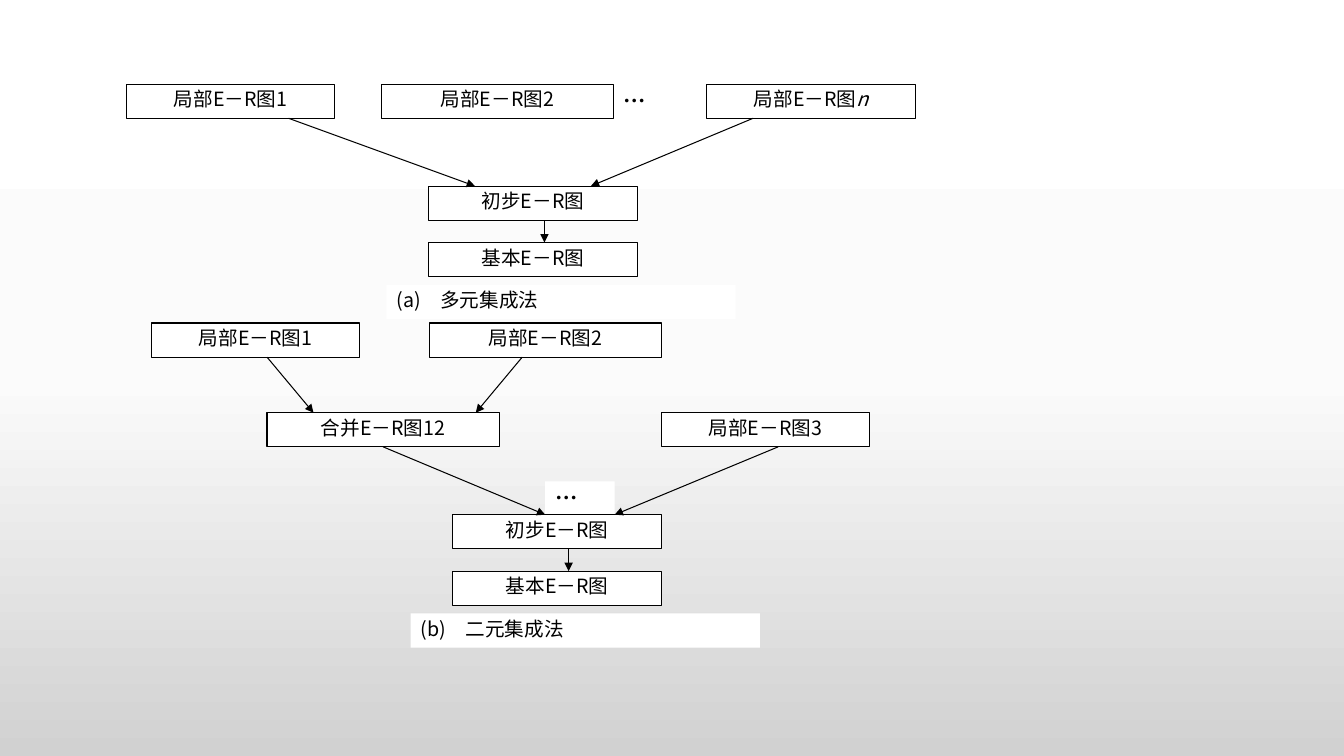
from copy import deepcopy

from lxml import etree
from pptx import Presentation
from pptx import util as u
from pptx.dml.color import RGBColor
from pptx.enum import shapes, text
from pptx.oxml.ns import qn

COLORS = {"ink": "000000", "paper": "FFFFFF", "mist": "FBFBFB", "dusk": "D1D1D1"}
FONT = "Noto Sans CJK SC"
BOX_H = 0.86
NARROW, WIDE, DOTS_W, CAPTION_W = 5.26, 5.85, 1.75, 8.8


def rgb(name):
    """Return the named colour."""
    return RGBColor.from_string(COLORS[name])


def paint_background(slide):
    """Fill the slide with a three-stop vertical gradient."""
    fill = slide.background.fill
    fill.gradient()
    fill.gradient_angle = 270
    stop_list = next(slide.element.iter(qn("a:gsLst")))
    stop_list.append(deepcopy(stop_list[-1]))
    for stop, position, name in zip(fill.gradient_stops, (0, 0.5, 1), ("paper", "mist", "dusk")):
        stop.position = position
        stop.color.rgb = rgb(name)


def write(paragraph, words, size=14, bold=False, italic=False):
    """Add a formatted run to a paragraph."""
    run = paragraph.add_run()
    run.text = words
    font = run.font
    font.name, font.size, font.bold, font.italic = FONT, u.Pt(size), bold, italic
    font.color.rgb = rgb("ink")
    props = run._r.get_or_add_rPr()
    props.set("lang", "zh-CN")
    etree.SubElement(props, qn("a:ea")).set("typeface", FONT)


def add_panel(slide, words, left, top, width, height=BOX_H, outlined=False, variable="", **style):
    """Draw a white rectangle holding one line of text."""
    panel = slide.shapes.add_shape(
        shapes.MSO_SHAPE.RECTANGLE, u.Cm(left), u.Cm(top), u.Cm(width), u.Cm(height))
    panel.shadow.inherit = False
    panel.fill.solid()
    panel.fill.fore_color.rgb = rgb("paper")
    if outlined:
        panel.line.color.rgb = rgb("ink")
        panel.line.width = u.Pt(0.75)
    else:
        panel.line.fill.background()
    frame = panel.text_frame
    frame.word_wrap = True
    frame.vertical_anchor = text.MSO_ANCHOR.TOP
    frame.margin_left = frame.margin_right = u.Cm(0.25)
    frame.margin_top, frame.margin_bottom = u.Cm(0.08), 0
    paragraph = frame.paragraphs[0]
    paragraph.alignment = text.PP_ALIGN.CENTER if outlined else text.PP_ALIGN.JUSTIFY
    write(paragraph, words, **style)
    if variable:
        write(paragraph, variable, italic=True)
    return panel


def add_diagram(slide, words, left, top, width=NARROW, variable=""):
    """Draw one outlined E-R diagram box."""
    return add_panel(slide, words, left, top, width, outlined=True, variable=variable)


def add_dots(slide, left, top, height=BOX_H):
    """Draw the ellipsis for the omitted diagrams."""
    add_panel(slide, "…", left, top, DOTS_W, height, size=16, bold=True)


def add_arrow(slide, x1, y1, x2, y2):
    """Draw a thin arrow to its second point."""
    arrow = slide.shapes.add_connector(
        shapes.MSO_CONNECTOR.STRAIGHT, u.Cm(x1), u.Cm(y1), u.Cm(x2), u.Cm(y2))
    arrow.line.color.rgb = rgb("ink")
    arrow.line.width = u.Pt(0.75)
    etree.SubElement(arrow.line._get_or_add_ln(), qn("a:tailEnd")).set("type", "triangle")
    etree.SubElement(arrow._element.spPr, qn("a:effectLst"))
    return arrow


def add_result(slide, left, top, caption):
    """Stack the preliminary diagram, the basic diagram and the caption."""
    basic_top = top + 1.42
    add_diagram(slide, "初步E－R图", left, top)
    add_diagram(slide, "基本E－R图", left, basic_top)
    add_arrow(slide, left + 2.92, top + BOX_H, left + 2.92, basic_top)
    add_panel(slide, caption, left - 1.06, top + 2.49, CAPTION_W)


def add_multiple_integration(slide, left, top):
    """Draw the method that merges all local diagrams at once."""
    result_top = top + 2.57
    add_diagram(slide, "局部E－R图1", left, top)
    add_dots(slide, left + 12.29, top)
    add_diagram(slide, "局部E－R图2", left + 6.43, top, WIDE)
    add_diagram(slide, "局部E－R图", left + 14.63, top, variable="n")
    add_result(slide, left + 7.62, result_top, "(a)　多元集成法")
    for start, end in ((4.09, 8.79), (15.8, 11.71)):
        add_arrow(slide, left + start, top + BOX_H, left + end, result_top)


def add_binary_integration(slide, left, top):
    """Draw the method that merges two diagrams at a time."""
    merged_top, result_top = top + 2.26, top + 4.83
    add_diagram(slide, "局部E－R图1", left, top)
    add_diagram(slide, "局部E－R图2", left + 7.01, top, WIDE)
    merged = add_diagram(slide, "合并E－R图12", left + 2.92, merged_top, WIDE)
    add_diagram(slide, "局部E－R图3", left + 12.85, merged_top)
    add_dots(slide, left + 9.93, top + 3.99, 1.14)
    add_result(slide, left + 7.6, result_top, "(b)　二元集成法")
    for start, end in ((2.92, 4.09), (9.35, 8.18)):
        add_arrow(slide, left + start, top + BOX_H, left + end, merged_top)
    merged_bottom = merged_top + BOX_H
    from_merged = add_arrow(slide, left + 5.84, merged_bottom, left + 9.93, result_top)
    from_merged.begin_connect(merged, 2)
    add_arrow(slide, left + 15.8, merged_bottom, left + 11.68, result_top)


def main():
    """Build and save the slide."""
    deck = Presentation()
    deck.slide_width, deck.slide_height = u.Cm(33.87), u.Cm(19.05)
    slide = deck.slides.add_slide(deck.slide_layouts[6])
    paint_background(slide)
    add_multiple_integration(slide, 3.18, 2.12)
    add_binary_integration(slide, 3.81, 8.14)
    deck.save("out.pptx")


if __name__ == "__main__":
    main()
